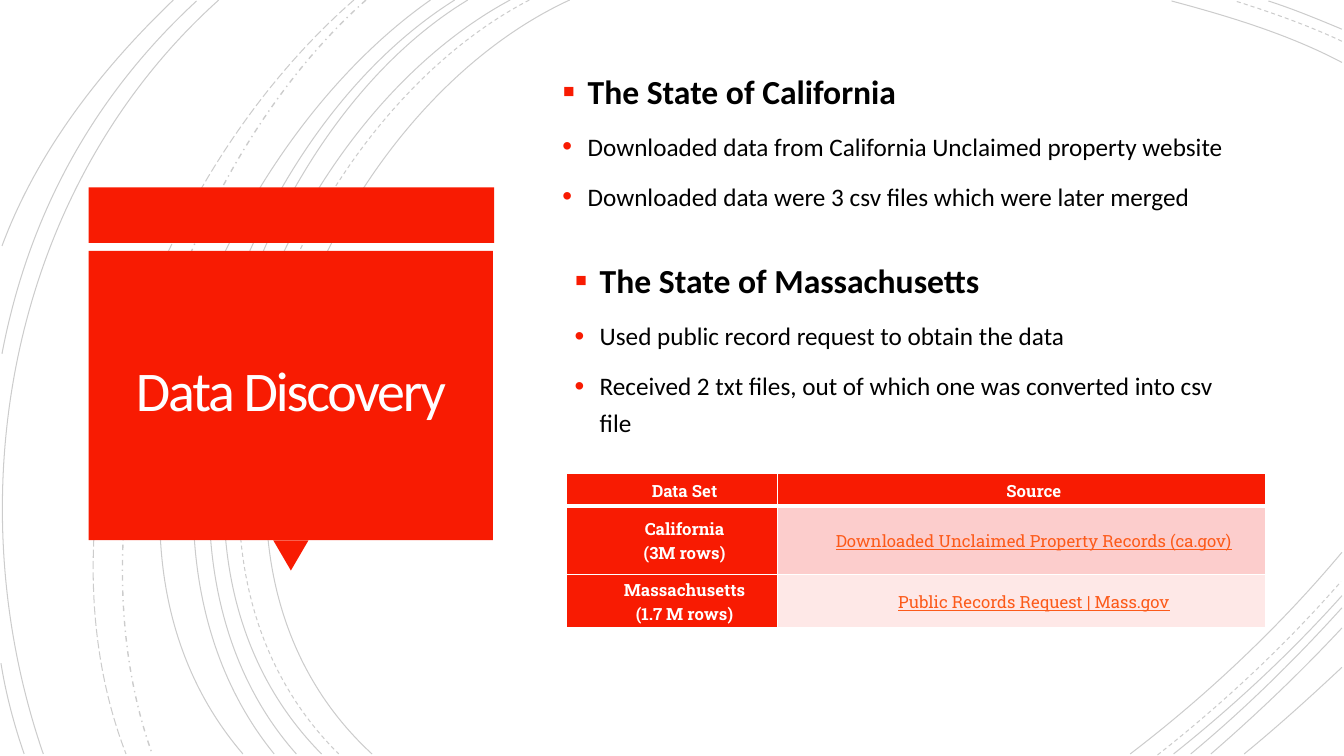
from lxml import etree
from pptx import Presentation
from pptx.dml.color import RGBColor
from pptx.enum.dml import MSO_LINE
from pptx.enum.shapes import MSO_SHAPE
from pptx.enum.text import MSO_ANCHOR, PP_ALIGN
from pptx.oxml.ns import qn
from pptx.util import Emu, Pt

RECTANGLE = MSO_SHAPE.RECTANGLE
TRIANGLE = MSO_SHAPE.ISOSCELES_TRIANGLE
MIDDLE = MSO_ANCHOR.MIDDLE
TOP = MSO_ANCHOR.TOP
CENTER = PP_ALIGN.CENTER
SOLID = MSO_LINE.SOLID
DASH = MSO_LINE.DASH
LONG_DASH = MSO_LINE.LONG_DASH
DASH_DOT = MSO_LINE.DASH_DOT

EMU_PER_PX = 9144
COLORS = {
    "accent": "F81B02",
    "title": "FFFEFF",
    "white": "FFFFFF",
    "black": "000000",
    "link": "FC5A1A",
    "band_dark": "FCCDCC",
    "band_light": "FEE8E7",
}
BODY_FONT = "Calibri"
TABLE_FONT = "Roboto Slab"

ARCS = [
    ([(565, 0), (315, 115), (143, 540), (369, 748)], SOLID),
    ([(1331, 62), (1278, 34), (1218, 16), (1162, 1)], SOLID),
    ([(1121, 748), (1197, 690), (1269, 622), (1331, 548)], SOLID),
    ([(525, 0), (285, 125), (123, 537), (336, 748)], DASH),
    ([(1331, 41), (1297, 25), (1260, 12), (1225, 1)], DASH),
    ([(1148, 749), (1213, 698), (1275, 640), (1330, 577)], DASH),
    ([(506, 0), (270, 127), (110, 537), (319, 748)], SOLID),
    ([(1331, 29), (1307, 19), (1283, 9), (1258, 1)], SOLID),
    ([(1164, 748), (1223, 701), (1280, 648), (1331, 591)], SOLID),
    ([(464, 0), (244, 133), (110, 541), (294, 748)], SOLID),
    ([(1181, 748), (1234, 704), (1284, 655), (1331, 603)], SOLID),
    ([(451, 0), (231, 138), (97, 533), (272, 748)], SOLID),
    ([(1201, 748), (1246, 709), (1290, 667), (1331, 623)], SOLID),
    ([(427, 0), (217, 147), (53, 529), (241, 748)], SOLID),
    ([(1234, 748), (1267, 721), (1299, 692), (1331, 662)], SOLID),
    ([(363, 0), (176, 166), (65, 509), (151, 748)], DASH_DOT),
    ([(351, 0), (157, 169), (29, 499), (125, 748)], LONG_DASH),
    ([(217, 0), (11, 185), (-46, 490), (43, 748)], SOLID),
    ([(195, 1), (92, 96), (28, 214), (2, 351)], SOLID),
    ([(1, 658), (6, 689), (14, 719), (24, 748)], SOLID),
    ([(172, 0), (100, 69), (37, 150), (2, 244)], SOLID),
]

STATES = [
    (560, 245, "The State of Massachusetts", [
        "Used public record request to obtain the data",
        "Received 2 txt files, out of which one was converted into csv file",
    ]),
    (548, 57, "The State of California", [
        "Downloaded data from California Unclaimed property website",
        "Downloaded data were 3 csv files which were later merged",
    ]),
]

DATA_SETS = [
    (["Data Set"], "Source", "accent"),
    (["California", "(3M rows)"], "Downloaded Unclaimed Property Records (ca.gov)", "band_dark"),
    (["Massachusetts", "(1.7 M rows)"], "Public Records Request | Mass.gov", "band_light"),
]


def px(value):
    return Emu(value * EMU_PER_PX)


def color(name):
    return RGBColor.from_string(COLORS[name])


def add_element(parent, tag, **attributes):
    return etree.SubElement(parent, qn(tag), attributes)


class SlideBuilder:
    def __init__(self, slide):
        self.shapes = slide.shapes

    def arc(self, points, dash):
        builder = self.shapes.build_freeform(*points[0], scale=EMU_PER_PX)
        builder.add_line_segments(points[1:], close=False)
        shape = builder.convert_to_shape()
        shape.shadow.inherit = False
        shape.fill.background()
        shape.line.color.rgb = color("black")
        shape.line.width = Pt(1 if dash == DASH_DOT else 0.75)
        shape.line.dash_style = dash
        add_element(shape.element.xpath(".//a:ln//a:srgbClr")[0], "a:alpha", val="20000")
        outline = shape.element.xpath(".//a:path")[0]
        curve = add_element(outline, "a:cubicBezTo")
        for segment in outline.findall(qn("a:lnTo")):
            curve.append(segment[0])
            outline.remove(segment)

    def block(self, kind, left, top, width, height, rotation=0):
        shape = self.shapes.add_shape(kind, px(left), px(top), px(width), px(height))
        shape.shadow.inherit = False
        shape.fill.solid()
        shape.fill.fore_color.rgb = color("accent")
        shape.line.fill.background()
        shape.rotation = rotation

    def text_frame(self, left, top, width, height, anchor):
        box = self.shapes.add_textbox(px(left), px(top), px(width), px(height))
        frame = box.text_frame
        frame.word_wrap = True
        frame.vertical_anchor = anchor
        return frame

    def run(self, paragraph, text, font, size, color_name, bold=False, underline=False):
        run = paragraph.add_run()
        run.text = text
        run.font.name = font
        run.font.size = Pt(size)
        run.font.bold = bold
        run.font.underline = underline
        run.font.color.rgb = color(color_name)
        return run

    def title(self, text, left, top, width, height):
        frame = self.text_frame(left, top, width, height, MIDDLE)
        frame.margin_top = frame.margin_bottom = px(10)
        paragraph = frame.paragraphs[0]
        paragraph.alignment = CENTER
        paragraph.line_spacing = 0.85
        run = self.run(paragraph, text, BODY_FONT, 40, "title")
        run.font._element.set("spc", "-150")

    def bullet(self, paragraph, character):
        paragraph.line_spacing = 1.2
        paragraph.space_before = Pt(10)
        properties = paragraph._p.get_or_add_pPr()
        properties.set("marL", str(px(25)))
        properties.set("indent", str(px(-25)))
        bullet_color = add_element(properties, "a:buClr")
        add_element(bullet_color, "a:srgbClr", val=COLORS["accent"])
        add_element(properties, "a:buSzPct", val="110000")
        add_element(properties, "a:buFont", typeface="Arial")
        add_element(properties, "a:buChar", char=character)

    def bullet_list(self, left, top, width, height, heading, items):
        frame = self.text_frame(left, top, width, height, TOP)
        paragraph = frame.paragraphs[0]
        self.bullet(paragraph, "▪")
        self.run(paragraph, heading, BODY_FONT, 24, "black", bold=True)
        for item in items:
            paragraph = frame.add_paragraph()
            self.bullet(paragraph, "•")
            self.run(paragraph, item, BODY_FONT, 18, "black")

    def cell(self, cell, lines, fill, is_link, top_width, bottom_width):
        cell.margin_left = cell.margin_right = px(7)
        cell.margin_top = cell.margin_bottom = 0
        cell.vertical_anchor = MIDDLE
        properties = cell._tc.get_or_add_tcPr()
        borders = {"a:lnL": 1, "a:lnR": 1, "a:lnT": top_width, "a:lnB": bottom_width}
        for tag, width in borders.items():
            border = add_element(properties, tag, w=str(Pt(width)))
            border_fill = add_element(border, "a:solidFill")
            add_element(border_fill, "a:srgbClr", val=COLORS["white"])
        cell.fill.solid()
        cell.fill.fore_color.rgb = color(fill)
        frame = cell.text_frame
        for index, line in enumerate(lines):
            paragraph = frame.add_paragraph() if index else frame.paragraphs[0]
            paragraph.alignment = CENTER
            paragraph.line_spacing = 1.07
            paragraph._p.get_or_add_pPr().set("marL", str(px(25)))
            self.run(paragraph, line, TABLE_FONT, 12, "link" if is_link else "white",
                     bold=not is_link, underline=is_link)

    def table(self, left, top, column_widths, row_heights, rows):
        table = self.shapes.add_table(
            len(row_heights), len(column_widths), px(left), px(top),
            px(sum(column_widths)), px(sum(row_heights))).table
        for column, width in zip(table.columns, column_widths):
            column.width = px(width)
        for index, (names, source, fill) in enumerate(rows):
            table.rows[index].height = px(row_heights[index])
            top_width = 3 if index == 1 else 1
            bottom_width = 3 if index == 0 else 1
            self.cell(table.cell(index, 0), names, "accent", False, top_width, bottom_width)
            self.cell(table.cell(index, 1), [source], fill, index > 0, top_width, bottom_width)


def main():
    presentation = Presentation()
    presentation.slide_width = px(1333)
    presentation.slide_height = px(750)
    builder = SlideBuilder(presentation.slides.add_slide(presentation.slide_layouts[6]))
    for points, dash in ARCS:
        builder.arc(points, dash)
    builder.block(RECTANGLE, 88, 186, 402, 55)
    builder.block(TRIANGLE, 271, 536, 35, 30, rotation=180)
    builder.block(RECTANGLE, 88, 249, 401, 287)
    builder.title("Data Discovery", 97, 256, 383, 270)
    for left, top, heading, items in STATES:
        builder.bullet_list(left, top, 686, 261, heading, items)
    builder.table(562, 470, [209, 484], [32, 68, 53], DATA_SETS)
    presentation.save("out.pptx")


if __name__ == "__main__":
    main()
